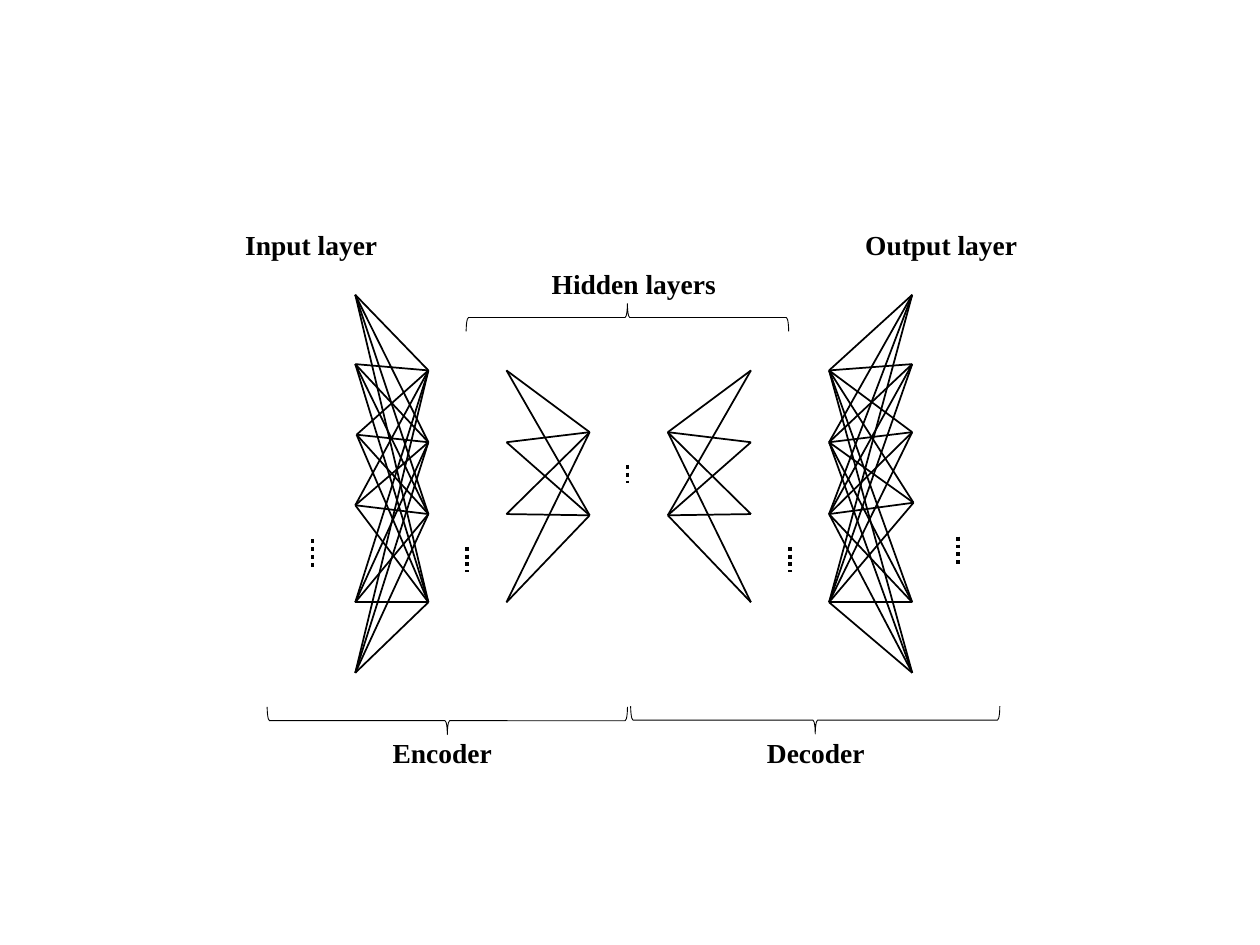
from dataclasses import dataclass
from itertools import product

from pptx import Presentation
from pptx import util as u
from pptx.dml.color import RGBColor
from pptx.enum import dml, shapes, text
from pptx.oxml.xmlchemy import OxmlElement


@dataclass(frozen=True)
class Theme:
    ink: RGBColor = RGBColor(0, 0, 0)
    font: str = "Times New Roman"
    label_size: float = 15.7
    link_width: float = 1
    brace_width: float = 0.5
    dots_width: float = 2.25


THEME = Theme()
COLUMNS, ROWS = 100, 75
SLIDE_WIDTH, SLIDE_HEIGHT = u.Inches(10), u.Inches(7.5)
LABEL_HEIGHT = 3.7
BRACE_DEPTH = 2.2

HIDDEN_ROWS = [29.4, 35.1, 40.8, 47.8]
CODE_ROWS = [34.3, 40.9]
INPUT_NODES = list(zip([28.2, 28.2, 28.3, 28.2, 28.2, 28.2],
                       [23.4, 28.9, 34.5, 40.1, 47.8, 53.4]))
OUTPUT_NODES = list(zip([72.4, 72.4, 72.4, 72.5, 72.4, 72.4],
                        [23.4, 28.9, 34.3, 39.9, 47.8, 53.4]))


def col(count):
    return round(SLIDE_WIDTH * count / COLUMNS)


def row(count):
    return round(SLIDE_HEIGHT * count / ROWS)


def layer(column, rows):
    return [(column, node_row) for node_row in rows]


def style_line(line, width):
    line.color.rgb = THEME.ink
    line.width = u.Pt(width)


def add_link(slide, start, end, width=THEME.link_width):
    link = slide.shapes.add_connector(
        shapes.MSO_CONNECTOR.STRAIGHT,
        col(start[0]), row(start[1]), col(end[0]), row(end[1]))
    style_line(link.line, width)
    link._element.spPr.append(OxmlElement("a:effectLst"))
    return link


def connect_layers(slide, left_nodes, right_nodes):
    for start, end in product(left_nodes, right_nodes):
        add_link(slide, start, end)


def add_dots(slide, column, top, bottom):
    dots = add_link(slide, (column, top), (column, bottom), THEME.dots_width)
    dots.line.dash_style = dml.MSO_LINE.ROUND_DOT


def add_brace(slide, middle_column, middle_row, span, rotation):
    brace = slide.shapes.add_shape(
        shapes.MSO_SHAPE.RIGHT_BRACE,
        col(middle_column - BRACE_DEPTH / 2), row(middle_row - span / 2),
        col(BRACE_DEPTH), row(span))
    brace.rotation = rotation
    brace.shadow.inherit = False
    brace.fill.background()
    style_line(brace.line, THEME.brace_width)


def add_label(slide, wording, left, top, width):
    label = slide.shapes.add_textbox(
        col(left), row(top), col(width), row(LABEL_HEIGHT))
    frame = label.text_frame
    frame.text = wording
    frame.word_wrap = False
    frame.auto_size = text.MSO_AUTO_SIZE.SHAPE_TO_FIT_TEXT
    paragraph = frame.paragraphs[0]
    paragraph.alignment = text.PP_ALIGN.CENTER
    font = paragraph.runs[0].font
    font.name = THEME.font
    font.size = u.Pt(THEME.label_size)
    font.bold = True
    font.color.rgb = THEME.ink


def main():
    deck = Presentation()
    deck.slide_width, deck.slide_height = SLIDE_WIDTH, SLIDE_HEIGHT
    slide = deck.slides.add_slide(deck.slide_layouts[6])

    for wording, left, top, width in [
        ("Input layer", 18.4, 17.6, 12.6),
        ("Output layer", 67.6, 17.6, 14.2),
        ("Hidden layers", 42.7, 20.7, 15.2),
        ("Encoder", 30.1, 57.9, 10),
        ("Decoder", 59.8, 57.9, 9.9),
    ]:
        add_label(slide, wording, left, top, width)

    connect_layers(slide, INPUT_NODES, layer(34, HIDDEN_ROWS))
    connect_layers(slide, layer(40.2, HIDDEN_ROWS), layer(46.8, CODE_ROWS))
    connect_layers(slide, layer(53, CODE_ROWS), layer(59.6, HIDDEN_ROWS))
    connect_layers(slide, layer(65.8, HIDDEN_ROWS), OUTPUT_NODES)

    for column, top, bottom in [
        (24.8, 42.8, 45),
        (37.1, 43.4, 45.4),
        (49.8, 36.9, 38.3),
        (62.7, 43.4, 45.4),
        (76, 42.6, 44.8),
    ]:
        add_dots(slide, column, top, bottom)

    add_brace(slide, 49.8, 25.2, 25.6, 270)
    add_brace(slide, 35.5, 57.2, 28.6, 90)
    add_brace(slide, 64.7, 57.15, 29.3, 90)

    deck.save("out.pptx")


if __name__ == "__main__":
    main()
